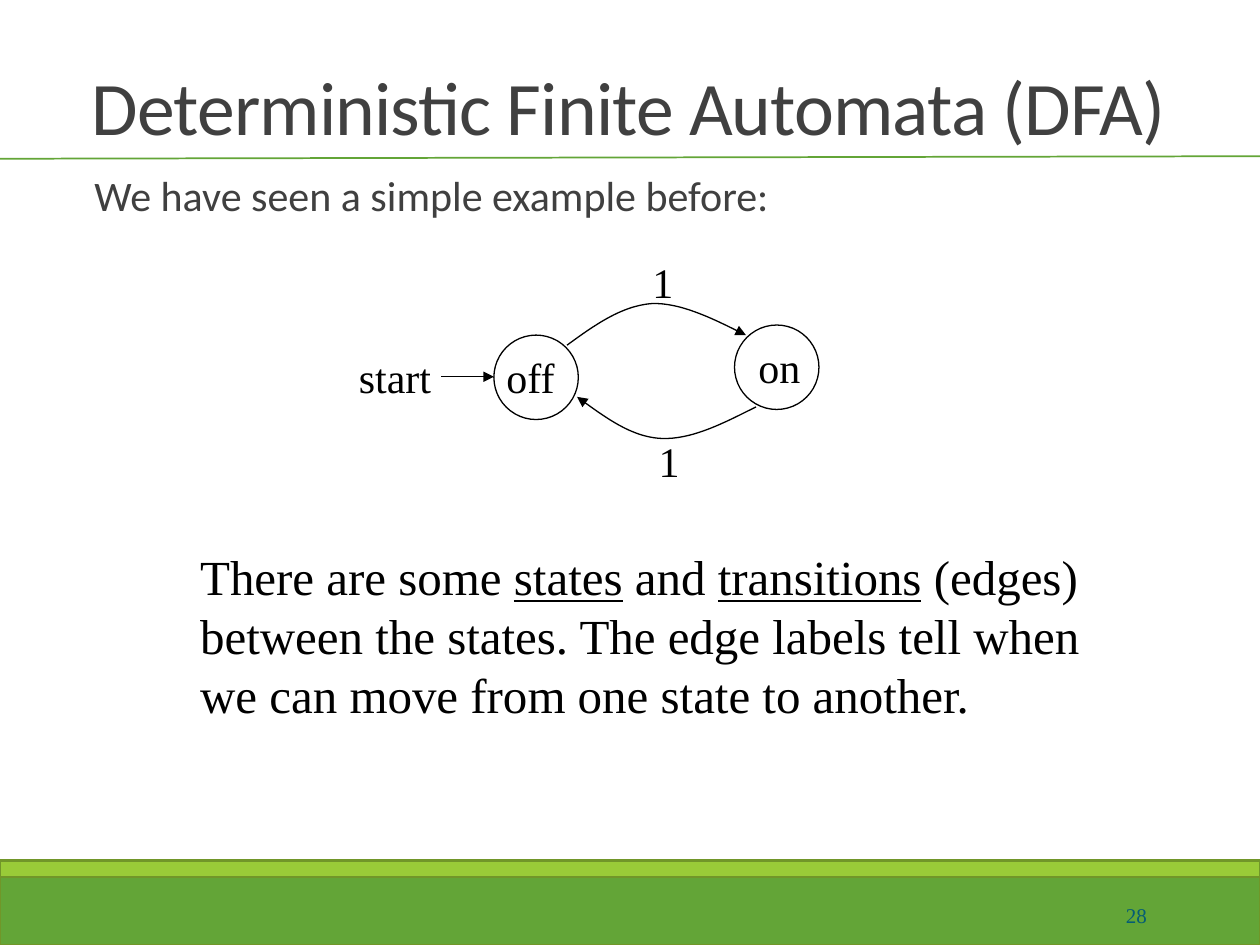
from lxml.etree import SubElement
from pptx import Presentation
from pptx.dml.color import RGBColor
from pptx.enum.shapes import MSO_CONNECTOR, MSO_SHAPE
from pptx.enum.text import MSO_ANCHOR, MSO_AUTO_SIZE, PP_ALIGN
from pptx.oxml.ns import qn
from pptx.util import Inches, Pt

SERIF = {"name": "Times New Roman", "size": Pt(24)}
SANS = {"name": "Calibri", "size": Pt(24)}
GROWING = {"word_wrap": False, "auto_size": MSO_AUTO_SIZE.SHAPE_TO_FIT_TEXT}
BLACK = "000000"
GREY = "404040"
GREEN = "63A537"
STATE_SIZE = 0.67
CURVE_STEPS = 32


def color(hex_text):
    """Turn a hex string into a colour."""
    return RGBColor.from_string(hex_text)


def apply_format(target, values):
    """Set every attribute in a dict of format values."""
    for name, value in values.items():
        setattr(target, name, value)


def style_line(shape, hex_text, width):
    """Give a shape or connector a line without shadow."""
    shape.line.color.rgb = color(hex_text)
    shape.line.width = Pt(width)
    properties = shape.element.spPr
    if properties.find(qn("a:effectLst")) is None:
        SubElement(properties, qn("a:effectLst"))


def add_arrowhead(shape):
    """Put a triangle at the end of a line."""
    line = shape.element.spPr.get_or_add_ln()
    SubElement(line, qn("a:tailEnd"), type="triangle")


def add_text(slide, box, lines, font, hex_text=BLACK, frame=GROWING, paragraph_format=None, spacing=None):
    """Add a text box whose lines are lists of (text, underlined) pairs."""
    shape = slide.shapes.add_textbox(*map(Inches, box))
    text_frame = shape.text_frame
    apply_format(text_frame, frame)
    for index, runs in enumerate(lines):
        paragraph = text_frame.add_paragraph() if index else text_frame.paragraphs[0]
        apply_format(paragraph, paragraph_format or {})
        for text, underlined in runs:
            run = paragraph.add_run()
            run.text = text
            apply_format(run.font, font)
            run.font.color.rgb = color(hex_text)
            if underlined:
                run.font.underline = True
            if spacing is not None:
                run.font._element.set("spc", str(spacing))


def add_line(slide, start, end, hex_text, width):
    """Add a straight connector between two points."""
    connector = slide.shapes.add_connector(MSO_CONNECTOR.STRAIGHT, *map(Inches, (*start, *end)))
    style_line(connector, hex_text, width)
    return connector


def add_footer(slide, left, top, width, height):
    """Draw the two green bands and the slide number."""
    bands = [(0.09, height - 0.09, GREEN), (0, 0.13, "99CB38")]
    for offset, band_height, fill in bands:
        band = slide.shapes.add_shape(
            MSO_SHAPE.RECTANGLE, *map(Inches, (left, top + offset, width, band_height)))
        band.shadow.inherit = False
        band.fill.solid()
        band.fill.fore_color.rgb = color(fill)
        style_line(band, "719629", 1.25)
    add_text(slide, (left + 8.12, top + 0.23, 1.08, 0.4), [[("28", False)]],
             {**SERIF, "size": Pt(12)}, "045C75",
             {"word_wrap": True, "vertical_anchor": MSO_ANCHOR.MIDDLE},
             {"alignment": PP_ALIGN.RIGHT})


def add_heading(slide, left, top, width, height):
    """Place the title, the rule under it and the opening sentence."""
    add_line(slide, (0, top + 1.01), (10, top + 0.99), GREEN, 1)
    add_text(slide, (left, top, width, height), [[("Deterministic Finite Automata (DFA)", False)]],
             {**SANS, "size": Pt(43.2)}, GREY,
             {"word_wrap": True, "vertical_anchor": MSO_ANCHOR.BOTTOM},
             {"alignment": PP_ALIGN.CENTER, "line_spacing": 0.85}, -50)
    add_text(slide, (left, top + 1.09, width, 0.5), [[("We have seen a simple example before:", False)]],
             SANS, GREY, {"word_wrap": True, "margin_left": Inches(0.26)}, {"line_spacing": 0.9})


def bezier_point(points, t):
    """Return the point at t on a cubic curve."""
    weights = ((1 - t) ** 3, 3 * t * (1 - t) ** 2, 3 * t ** 2 * (1 - t), t ** 3)
    return tuple(sum(w * p[axis] for w, p in zip(weights, points)) for axis in (0, 1))


def add_transition(slide, left, top, knots):
    """Draw a curved arrow through two joined cubic pieces."""
    curve = [bezier_point(piece, step / CURVE_STEPS)
             for piece in (knots[:4], knots[3:]) for step in range(CURVE_STEPS + 1)]
    points = [(Inches(left + x), Inches(top + y)) for x, y in curve]
    builder = slide.shapes.build_freeform(*points[0])
    builder.add_line_segments(points[1:], close=False)
    shape = builder.convert_to_shape()
    shape.shadow.inherit = False
    shape.fill.background()
    style_line(shape, BLACK, 0.75)
    add_arrowhead(shape)


def add_automaton(slide, left, top):
    """Draw the two states, their transitions and the labels."""
    for x, y in ((1.17, 0.67), (3.08, 0.59)):
        state = slide.shapes.add_shape(
            MSO_SHAPE.OVAL, *map(Inches, (left + x, top + y, STATE_SIZE, STATE_SIZE)))
        state.shadow.inherit = False
        state.fill.background()
        style_line(state, BLACK, 0.75)
    switch_on = [(1.75, 0.75), (1.97, 0.59), (2.18, 0.44), (2.42, 0.42),
                 (2.65, 0.41), (2.91, 0.54), (3.17, 0.67)]
    switch_off = [(3.25, 1.24), (2.99, 1.37), (2.74, 1.5), (2.5, 1.49),
                  (2.26, 1.48), (2.05, 1.32), (1.83, 1.16)]
    for knots in (switch_on, switch_off):
        add_transition(slide, left, top, knots)
    add_arrowhead(add_line(slide, (left + 0.75, top + 1), (left + 1.17, top + 1), BLACK, 0.75))
    labels = [("off", 1.17, 0.75, 0.59), ("on", 3.17, 0.67, 0.53), ("start", 0, 0.75, 0.78),
              ("1", 2.33, 0, 0.37), ("1", 2.38, 1.42, 0.37)]
    for text, x, y, width in labels:
        add_text(slide, (left + x, top + y, width, 0.5), [[(text, False)]], SERIF)


def add_explanation(slide, left, top, width, height):
    """Place the paragraph on states and transitions."""
    lines = [
        [("There are some ", False), ("states", True), (" and ", False),
         ("transitions", True), (" (edges)", False)],
        [("between the states. The edge labels tell when", False)],
        [("we can move from one state to another.", False)],
    ]
    add_text(slide, (left, top, width, height), lines, {**SERIF, "size": Pt(28)})


def main():
    """Build and save the slide."""
    presentation = Presentation()
    apply_format(presentation, {"slide_width": Inches(10), "slide_height": Inches(7.5)})
    slide = presentation.slides.add_slide(presentation.slide_layouts[6])
    add_footer(slide, 0, 6.83, 10, 0.67)
    add_heading(slide, 0.49, 0.25, 9, 1)
    add_automaton(slide, 2.75, 1.99)
    add_explanation(slide, 1.49, 4.29, 7.19, 1.5)
    presentation.save("out.pptx")


if __name__ == "__main__":
    main()
